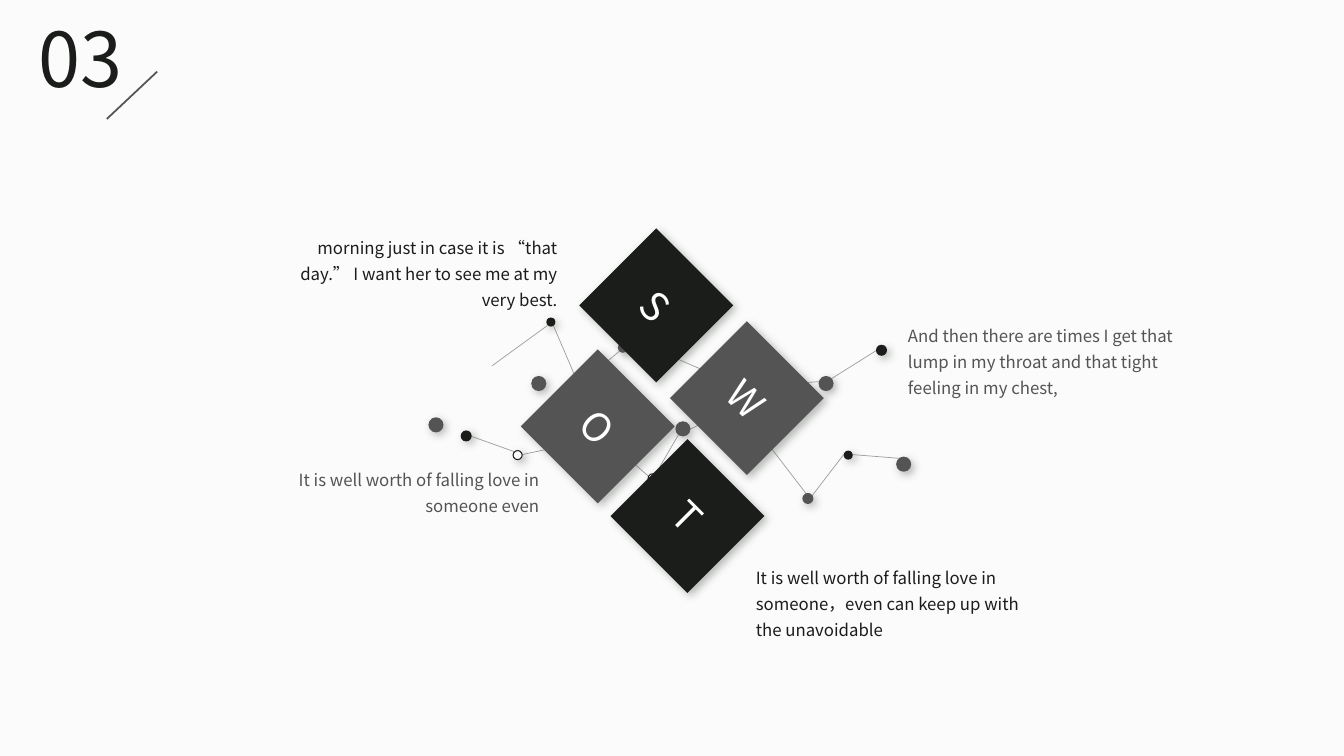
"""Build the SWOT slide: four diamonds over a network of dots and lines."""
from lxml.etree import SubElement
from pptx import Presentation
from pptx.dml.color import RGBColor
from pptx.enum.shapes import MSO_CONNECTOR, MSO_SHAPE as Shape
from pptx.enum.text import MSO_ANCHOR as Anchor, MSO_AUTO_SIZE as Fit, PP_ALIGN as Align
from pptx.oxml import parse_xml
from pptx.oxml.ns import nsdecls, qn
from pptx.util import Inches, Pt

BLACK, GREY, PAPER, WHITE = "1A1D1A", "545454", "FBFBFB", "FFFFFF"
FONT = "Noto Sans CJK SC"
COLUMNS, ROWS = 40, 22.5
CELL = Inches(1) / 3
SHADOW = (
    f'<a:effectLst {nsdecls("a")}><a:outerShdw blurRad="{Pt(6)}" dist="{Pt(3)}" dir="2700000" '
    'algn="tl" rotWithShape="0"><a:srgbClr val="505950"><a:alpha val="40000"/></a:srgbClr>'
    '</a:outerShdw></a:effectLst>'
)


def paint(target, colour):
    """Give a fill a solid colour."""
    target.solid()
    target.fore_color.rgb = RGBColor.from_string(colour)


def write(frame, text, size=12, colour=BLACK, align=Align.LEFT, spacing=None, fit=Fit.NONE):
    """Put one formatted paragraph into a text frame."""
    frame.word_wrap = True
    frame.auto_size = fit
    paragraph = frame.paragraphs[0]
    paragraph.alignment = align
    paragraph.line_spacing = spacing
    run = paragraph.add_run()
    run.text = text
    run.font.size = Pt(size)
    run.font.name = FONT
    paint(run.font.fill, colour)
    SubElement(run.font._element, qn("a:ea"), typeface=FONT)


deck = Presentation()
deck.slide_width, deck.slide_height = int(COLUMNS * CELL), int(ROWS * CELL)
slide = deck.slides.add_slide(deck.slide_layouts[6])
paint(slide.background.fill, PAPER)

threads = [
    (24.6, 11.34, 23.46, 11.43), (24.54, 11.4, 26.07, 10.44),
    (21.21, 12.45, 20.4, 12.84), (15.54, 13.53, 17.79, 13.05),
    (14.04, 12.99, 15.3, 13.44), (19.32, 14.19, 17.91, 12.96),
    (19.5, 14.13, 20.25, 12.84), (25.38, 13.53, 26.88, 13.65),
    (24.12, 14.82, 25.11, 13.53), (24.09, 14.82, 22.71, 13.02),
    (18.45, 10.44, 17.31, 11.4), (19.95, 10.59, 20.91, 11.01),
    (14.64, 10.89, 16.29, 9.69), (17.19, 11.37, 16.47, 9.69),
]
number_slash = (4.68, 2.13, 3.18, 3.54)
strokes = [(ends, BLACK, 0.5, 41) for ends in threads] + [(number_slash, GREY, 1.25, 100)]
for ends, colour, weight, opacity in strokes:
    stroke = slide.shapes.add_connector(
        MSO_CONNECTOR.STRAIGHT, *(int(place * CELL) for place in ends))
    paint(stroke.line.fill, colour)
    stroke.line.width = Pt(weight)
    properties = stroke._element.spPr
    if opacity < 100:
        tint = properties.find(".//" + qn("a:srgbClr"))
        SubElement(tint, qn("a:alpha"), val=str(opacity * 1000))
    SubElement(properties, qn("a:effectLst"))

dots = [
    (26.07, 10.26, 0.33, BLACK), (24.36, 11.19, 0.45, GREY), (25.11, 13.41, 0.27, BLACK),
    (26.67, 13.59, 0.45, GREY), (23.88, 14.67, 0.33, GREY), (12.75, 12.42, 0.45, GREY),
    (15.81, 11.19, 0.45, GREY), (15.27, 13.41, 0.27, PAPER), (16.26, 9.45, 0.27, BLACK),
    (13.71, 12.81, 0.33, BLACK), (18.39, 10.2, 0.3, GREY), (19.29, 14.1, 0.27, PAPER),
    (20.1, 12.54, 0.45, GREY),
]
diamonds = [
    (20.61, 10.23, 3.24, GREY, "W"), (18.84, 13.74, 3.24, BLACK, "T"),
    (17.91, 7.47, 3.24, BLACK, "S"), (16.17, 11.07, 3.24, GREY, "O"),
]
for left, top, side, colour, *letter in dots + diamonds:
    figure = slide.shapes.add_shape(
        Shape.RECTANGLE if letter else Shape.OVAL,
        *(int(length * CELL) for length in (left, top, side, side)))
    paint(figure.fill, colour)
    if colour == PAPER:
        paint(figure.line.fill, BLACK)
        figure.line.width = Pt(0.75)
    else:
        figure.line.fill.background()
    figure._element.spPr.append(parse_xml(SHADOW))
    if letter:
        figure.rotation = 45
        figure.text_frame.vertical_anchor = Anchor.MIDDLE
        write(figure.text_frame, letter[0], size=28, colour=WHITE, align=Align.CENTER)

note = dict(spacing=1.3)
captions = [
    (8.37, 6.75, 8.52, 2.67,
     "morning just in case it is “that day.” I want her to see me at my very best.",
     dict(note, align=Align.RIGHT)),
    (26.73, 9.36, 8.52, 2.67,
     "And then there are times I get that lump in my throat and that tight feeling in my chest,",
     dict(note, colour=GREY)),
    (22.2, 16.56, 8.52, 2.67,
     "It is well worth of falling love in someone，even can keep up with the unavoidable",
     note),
    (7.83, 13.65, 8.52, 1.8,
     "It is well worth of falling love in someone even",
     dict(note, colour=GREY, align=Align.RIGHT)),
    (0.84, 0.21, 3.42, 3.03, "03", dict(size=54, align=Align.JUSTIFY)),
]
for *place, text, style in captions:
    caption = slide.shapes.add_textbox(*(int(length * CELL) for length in place))
    write(caption.text_frame, text, fit=Fit.SHAPE_TO_FIT_TEXT, **style)

deck.save("out.pptx")
